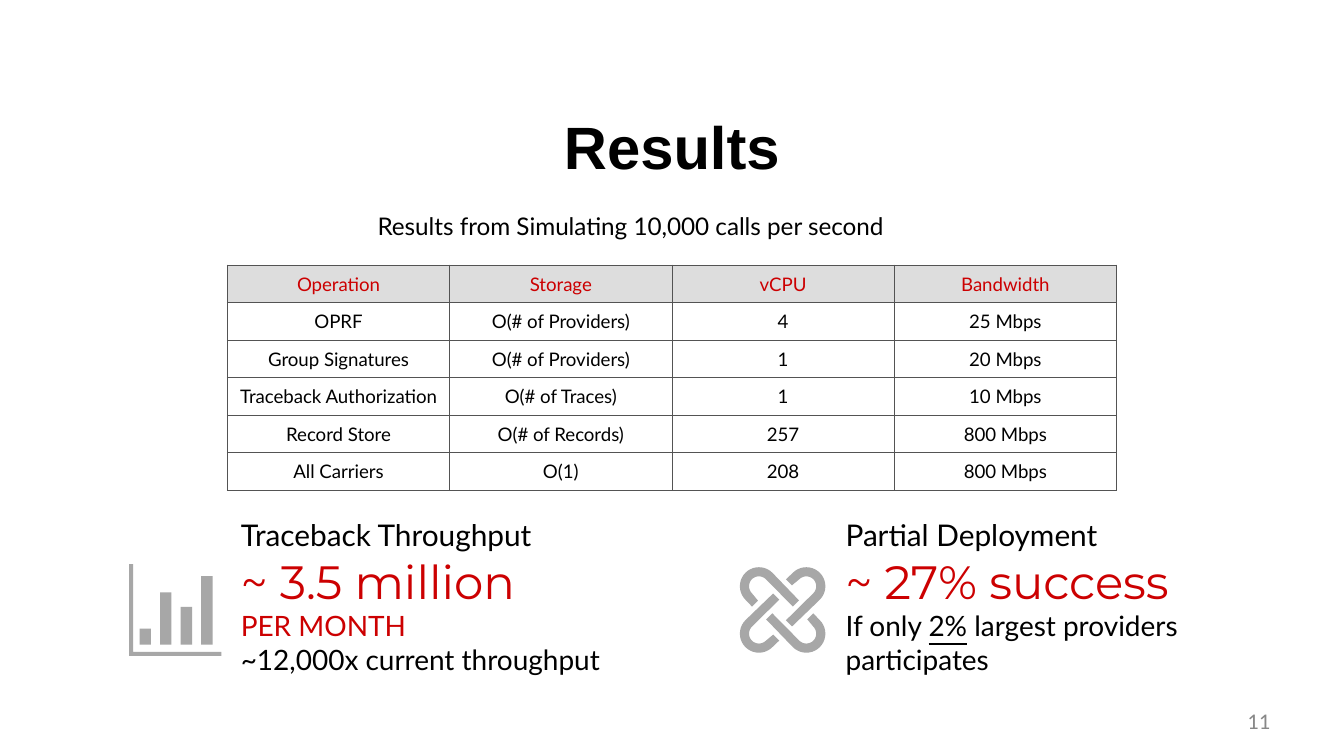
from math import cos, radians, sin

from lxml.etree import SubElement
from pptx import Presentation
from pptx.dml.color import RGBColor
from pptx.enum.text import MSO_ANCHOR, PP_ALIGN
from pptx.oxml.ns import qn
from pptx.util import Pt

COLORS = {
    "black": "000000",
    "red": "CC0001",
    "gray": "A7A7A7",
    "number": "888888",
    "border": "535353",
    "header": "DDDDDD",
    "white": "FFFFFF",
}
RESULTS = [
    ("Operation", "Storage", "vCPU", "Bandwidth"),
    ("OPRF", "O(# of Providers)", "4", "25 Mbps"),
    ("Group Signatures", "O(# of Providers)", "1", "20 Mbps"),
    ("Traceback Authorization", "O(# of Traces)", "1", "10 Mbps"),
    ("Record Store", "O(# of Records)", "257", "800 Mbps"),
    ("All Carriers", "O(1)", "208", "800 Mbps"),
]


def color(name):
    return RGBColor.from_string(COLORS[name])


def write_text(paragraph, text, size=15, font="Lato", fill="black",
               bold=False, underline=False, align=PP_ALIGN.LEFT):
    paragraph.alignment = align
    run = paragraph.add_run()
    run.text = text
    run.font.size = Pt(size)
    run.font.name = font
    run.font.bold = bold
    run.font.underline = underline
    run.font.color.rgb = color(fill)


def add_text_frame(slide, box, inset=0, anchor=MSO_ANCHOR.TOP):
    frame = slide.shapes.add_textbox(*map(Pt, box)).text_frame
    frame.word_wrap = True
    frame.vertical_anchor = anchor
    frame.margin_left = frame.margin_right = Pt(inset)
    frame.margin_top = frame.margin_bottom = Pt(inset)
    return frame


def add_line(slide, box, text, inset=0, anchor=MSO_ANCHOR.TOP, **text_format):
    frame = add_text_frame(slide, box, inset, anchor)
    write_text(frame.paragraphs[0], text, **text_format)


def add_cell_borders(cell):
    properties = cell._tc.get_or_add_tcPr()
    for position, side in enumerate(("a:lnL", "a:lnR", "a:lnT", "a:lnB")):
        line = properties.makeelement(qn(side), {"w": str(Pt(0.5))})
        fill = SubElement(line, qn("a:solidFill"))
        SubElement(fill, qn("a:srgbClr"), val=COLORS["border"])
        properties.insert(position, line)


def add_results_table(slide, box):
    left, top, width, height = map(Pt, box)
    table = slide.shapes.add_table(
        len(RESULTS), len(RESULTS[0]), left, top, width, height).table
    table.first_row = False
    table.horz_banding = False
    for row_index, values in enumerate(RESULTS):
        for column_index, value in enumerate(values):
            cell = table.cell(row_index, column_index)
            is_header = row_index == 0
            cell.margin_left = cell.margin_right = Pt(0)
            cell.margin_top = cell.margin_bottom = Pt(0)
            cell.vertical_anchor = MSO_ANCHOR.MIDDLE
            cell.fill.solid()
            cell.fill.fore_color.rgb = color("header" if is_header else "white")
            write_text(cell.text_frame.paragraphs[0], value, size=10,
                       fill="red" if is_header else "black", align=PP_ALIGN.CENTER)
            add_cell_borders(cell)


def add_icon(slide, left, top, contours):
    placed = [[(Pt(left + x), Pt(top + y)) for x, y in contour] for contour in contours]
    builder = slide.shapes.build_freeform(*placed[0][0])
    for index, points in enumerate(placed):
        if index:
            builder.move_to(*points[0])
        builder.add_line_segments(points[1:], close=True)
    shape = builder.convert_to_shape()
    shape.shadow.inherit = False
    shape.fill.solid()
    shape.fill.fore_color.rgb = color("gray")
    shape.line.fill.background()


def add_bar_icon(slide, box):
    left, top, width, height = box
    stroke, base, bar_width, step = 2.2, 43.2, 6.1, 11
    contours = [[(0, 0), (stroke, 0), (stroke, height - stroke),
                 (width, height - stroke), (width, height), (0, height)]]
    for index, bar_top in enumerate((34.6, 15.2, 23, 6.5)):
        start = 5.6 + index * step
        end = start + bar_width
        contours.append([(start, bar_top), (end, bar_top), (end, base), (start, base)])
    add_icon(slide, left, top, contours)


def add_knot_icon(slide, box):
    left, top, width, height = box
    center, outer_radius, inner_radius = -12.7, 10.2, 5.3

    def arc(radius, angles):
        return [(center + radius * cos(radians(angle)),
                 center + radius * sin(radians(angle))) for angle in angles]

    strand = [(-16.4, -1.8)]
    strand += arc(outer_radius, range(135, 316, 9))
    strand += [(8.8, -5.1), (5.5, -1.8)]
    strand += arc(inner_radius, range(315, 134, -9))
    strand += [(-13.2, -5)]
    contours = []
    for _ in range(4):
        contours.append(strand)
        strand = [(-y, x) for x, y in strand]
    add_icon(slide, left + width / 2, top + height / 2, contours)


def add_finding(slide, box, paragraphs):
    frame = add_text_frame(slide, box)
    for index, runs in enumerate(paragraphs):
        paragraph = frame.add_paragraph() if index else frame.paragraphs[0]
        for text, text_format in runs:
            write_text(paragraph, text, **text_format)


def main():
    presentation = Presentation()
    presentation.slide_width = Pt(720)
    presentation.slide_height = Pt(405)
    slide = presentation.slides.add_slide(presentation.slide_layouts[6])
    heading = {"size": 16}
    figure = {"size": 25, "font": "Montserrat", "fill": "red"}

    add_line(slide, (36, 52, 648, 52.5), "Results", inset=3.6, anchor=MSO_ANCHOR.MIDDLE,
             size=32, font="Arial", bold=True, align=PP_ALIGN.CENTER)
    add_line(slide, (650, 376.5, 34, 19.5), "11", inset=3.6, anchor=MSO_ANCHOR.MIDDLE,
             size=12, font="Calibri", fill="number", align=PP_ALIGN.RIGHT)
    add_results_table(slide, (121.8, 142, 476.4, 120.9))
    add_finding(slide, (129, 277, 248.4, 99.4), [
        [("Traceback Throughput", heading)],
        [("~ 3.5 million", figure)],
        [("PER MONTH", {"fill": "red"})],
        [("~12,000x current throughput", {})],
    ])
    add_bar_icon(slide, (69.2, 302.2, 49.4, 49.2))
    add_finding(slide, (453, 277, 248.4, 99.4), [
        [("Partial Deployment", heading)],
        [("~ 27% success", figure)],
        [("If only ", {}), ("2%", {"underline": True}),
         (" largest providers participates", {})],
    ])
    add_knot_icon(slide, (396.5, 304, 45.6, 45.6))
    add_line(slide, (202.3, 113, 281, 18), "Results from Simulating 10,000 calls per second",
             size=13)
    presentation.save("out.pptx")


if __name__ == "__main__":
    main()
